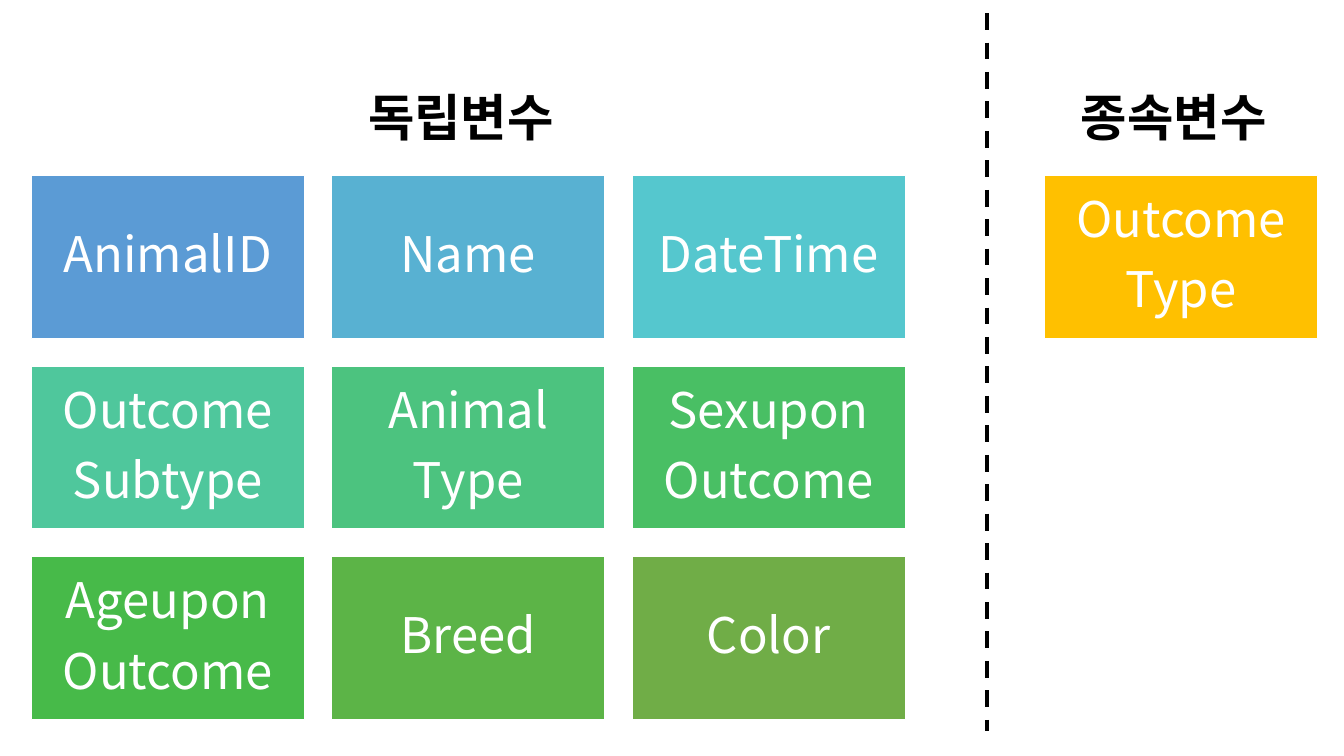
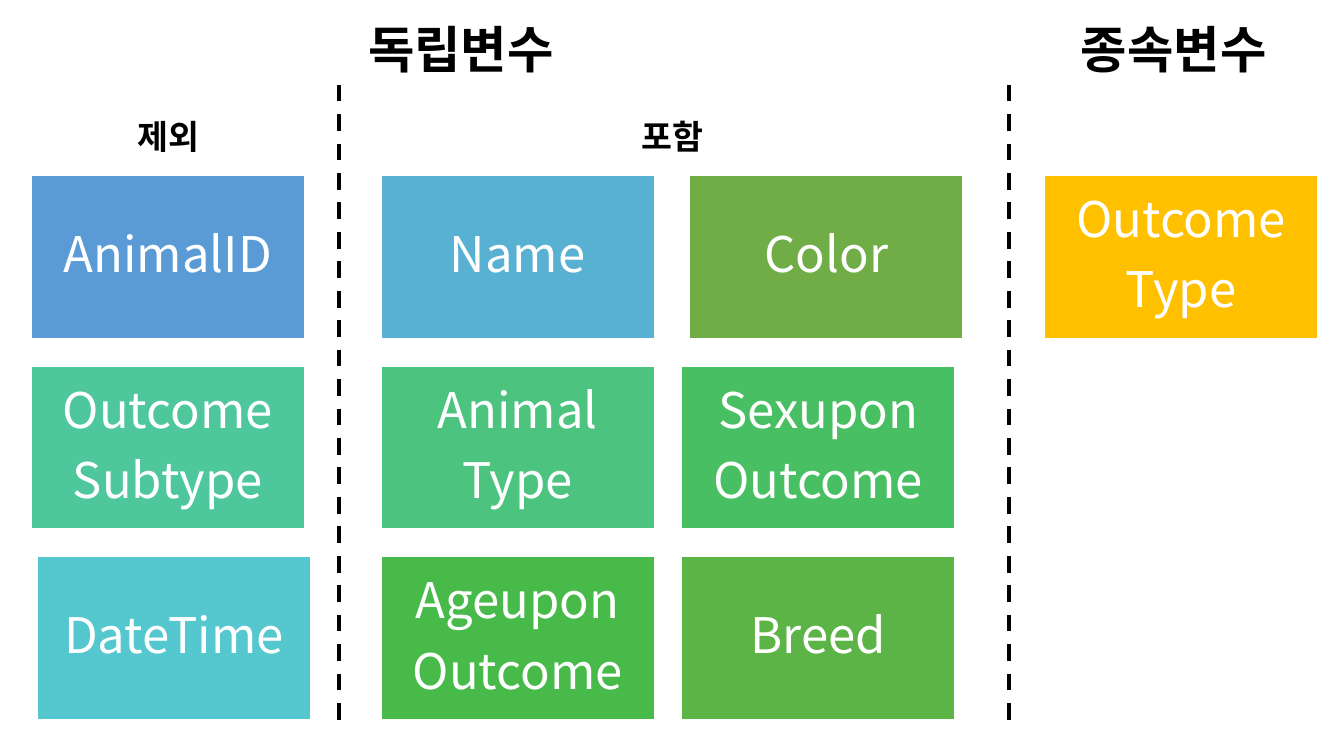
"""Builds two slides that sort the data set's variables into independent and dependent ones."""
from lxml import etree
from pptx import Presentation
from pptx.dml.color import RGBColor
from pptx.enum.dml import MSO_LINE
from pptx.enum.shapes import MSO_CONNECTOR, MSO_SHAPE
from pptx.enum.text import MSO_ANCHOR, MSO_AUTO_SIZE, PP_ALIGN
from pptx.oxml.ns import qn
from pptx.util import Inches, Pt

RECTANGLE = MSO_SHAPE.RECTANGLE
STRAIGHT = MSO_CONNECTOR.STRAIGHT
DASH = MSO_LINE.DASH
MIDDLE = MSO_ANCHOR.MIDDLE
CENTER = PP_ALIGN.CENTER
FIT_SHAPE = MSO_AUTO_SIZE.SHAPE_TO_FIT_TEXT

FONT = "Noto Sans CJK KR"
BLACK = RGBColor(0x00, 0x00, 0x00)
WHITE = RGBColor(0xFF, 0xFF, 0xFF)

VARIABLES = {
    "AnimalID": (["AnimalID"], RGBColor(0x5B, 0x9B, 0xD5)),
    "Name": (["Name"], RGBColor(0x58, 0xB1, 0xD2)),
    "DateTime": (["DateTime"], RGBColor(0x55, 0xC7, 0xCE)),
    "OutcomeSubtype": (["Outcome", "Subtype"], RGBColor(0x4F, 0xC7, 0x9C)),
    "AnimalType": (["Animal", "Type"], RGBColor(0x4C, 0xC3, 0x7F)),
    "SexuponOutcome": (["Sexupon", "Outcome"], RGBColor(0x49, 0xBF, 0x64)),
    "AgeuponOutcome": (["Ageupon", "Outcome"], RGBColor(0x47, 0xBA, 0x49)),
    "Breed": (["Breed"], RGBColor(0x5C, 0xB4, 0x47)),
    "Color": (["Color"], RGBColor(0x70, 0xAD, 0x47)),
    "OutcomeType": (["Outcome", "Type"], RGBColor(0xFF, 0xC0, 0x00)),
}

CARD_WIDTH, CARD_HEIGHT, GAP = 2.71, 1.62, 0.27
GRID_LEFT, GRID_TOP = 0.31, 1.74
INCLUDED_LEFT, TARGET_LEFT = 3.78, 10.36
LINE_BOTTOM = 7.25
TITLES = [("독립변수", 4.57), ("종속변수", 11.64)]
TITLE_SIZE, TITLE_WIDTH, TITLE_HEIGHT = 36, 2.12, 0.75
GROUP_SIZE, GROUP_WIDTH, GROUP_HEIGHT = 24, 0.84, 0.53

SLIDES = [
    {
        "title_top": 0.76,
        "groups": [],
        "grids": [
            (GRID_LEFT, [
                ["AnimalID", "Name", "DateTime"],
                ["OutcomeSubtype", "AnimalType", "SexuponOutcome"],
                ["AgeuponOutcome", "Breed", "Color"],
            ]),
            (TARGET_LEFT, [["OutcomeType"]]),
        ],
        "shifts": {},
        "line_top": 0.13,
        "lines": [9.79],
    },
    {
        "title_top": 0.09,
        "groups": [("제외", 1.67), ("포함", 6.67)],
        "grids": [
            (GRID_LEFT, [["AnimalID"], ["OutcomeSubtype"], ["DateTime"]]),
            (INCLUDED_LEFT, [
                ["Name", "Color"],
                ["AnimalType", "SexuponOutcome"],
                ["AgeuponOutcome", "Breed"],
            ]),
            (TARGET_LEFT, [["OutcomeType"]]),
        ],
        "shifts": {"DateTime": 0.06, "Color": 0.08},
        "line_top": 0.84,
        "lines": [3.36, 10.01],
    },
]
GROUP_TOP = 1.07


def add_text(paragraph, text, size, color, spacing, bold=False):
    paragraph.alignment = CENTER
    paragraph.line_spacing = spacing
    run = paragraph.add_run()
    run.text = text
    run.font.name = FONT
    run.font.size = Pt(size)
    run.font.bold = bold
    run.font.color.rgb = color
    etree.SubElement(run._r.get_or_add_rPr(), qn("a:ea"), typeface=FONT)


def add_card(slide, name, left, top):
    lines, color = VARIABLES[name]
    shape = slide.shapes.add_shape(
        RECTANGLE, Inches(left), Inches(top), Inches(CARD_WIDTH), Inches(CARD_HEIGHT))
    shape.shadow.inherit = False
    shape.fill.solid()
    shape.fill.fore_color.rgb = color
    shape.line.color.rgb = WHITE
    shape.line.width = Pt(1)
    frame = shape.text_frame
    frame.word_wrap = True
    frame.vertical_anchor = MIDDLE
    frame.margin_left = frame.margin_right = Inches(0.15)
    frame.margin_top = frame.margin_bottom = Inches(0.15)
    for index, text in enumerate(lines):
        paragraph = frame.add_paragraph() if index else frame.paragraphs[0]
        add_text(paragraph, text, 35, WHITE, 0.9)
        space_after = etree.SubElement(paragraph._p.get_or_add_pPr(), qn("a:spcAft"))
        etree.SubElement(space_after, qn("a:spcPct"), val="35000")


def add_heading(slide, text, center, top, width, height, size):
    box = slide.shapes.add_textbox(
        Inches(center - width / 2), Inches(top), Inches(width), Inches(height))
    frame = box.text_frame
    frame.word_wrap = False
    frame.auto_size = FIT_SHAPE
    add_text(frame.paragraphs[0], text, size, BLACK, 1.07, bold=True)


def add_divider(slide, left, top):
    connector = slide.shapes.add_connector(
        STRAIGHT, Inches(left), Inches(top), Inches(left), Inches(LINE_BOTTOM))
    connector.line.color.rgb = BLACK
    connector.line.width = Pt(3)
    connector.line.dash_style = DASH
    etree.SubElement(connector._element.spPr, qn("a:effectLst"))


def build_slide(presentation, content):
    slide = presentation.slides.add_slide(presentation.slide_layouts[6])
    for grid_left, rows in content["grids"]:
        for row, names in enumerate(rows):
            for column, name in enumerate(names):
                left = grid_left + column * (CARD_WIDTH + GAP) + content["shifts"].get(name, 0)
                add_card(slide, name, left, GRID_TOP + row * (CARD_HEIGHT + GAP))
    for text, center in TITLES:
        add_heading(slide, text, center, content["title_top"],
                    TITLE_WIDTH, TITLE_HEIGHT, TITLE_SIZE)
    for text, center in content["groups"]:
        add_heading(slide, text, center, GROUP_TOP, GROUP_WIDTH, GROUP_HEIGHT, GROUP_SIZE)
    for left in content["lines"]:
        add_divider(slide, left, content["line_top"])


def main():
    presentation = Presentation()
    presentation.slide_width = Inches(13.33)
    presentation.slide_height = Inches(7.5)
    for content in SLIDES:
        build_slide(presentation, content)
    presentation.save("out.pptx")


if __name__ == "__main__":
    main()
